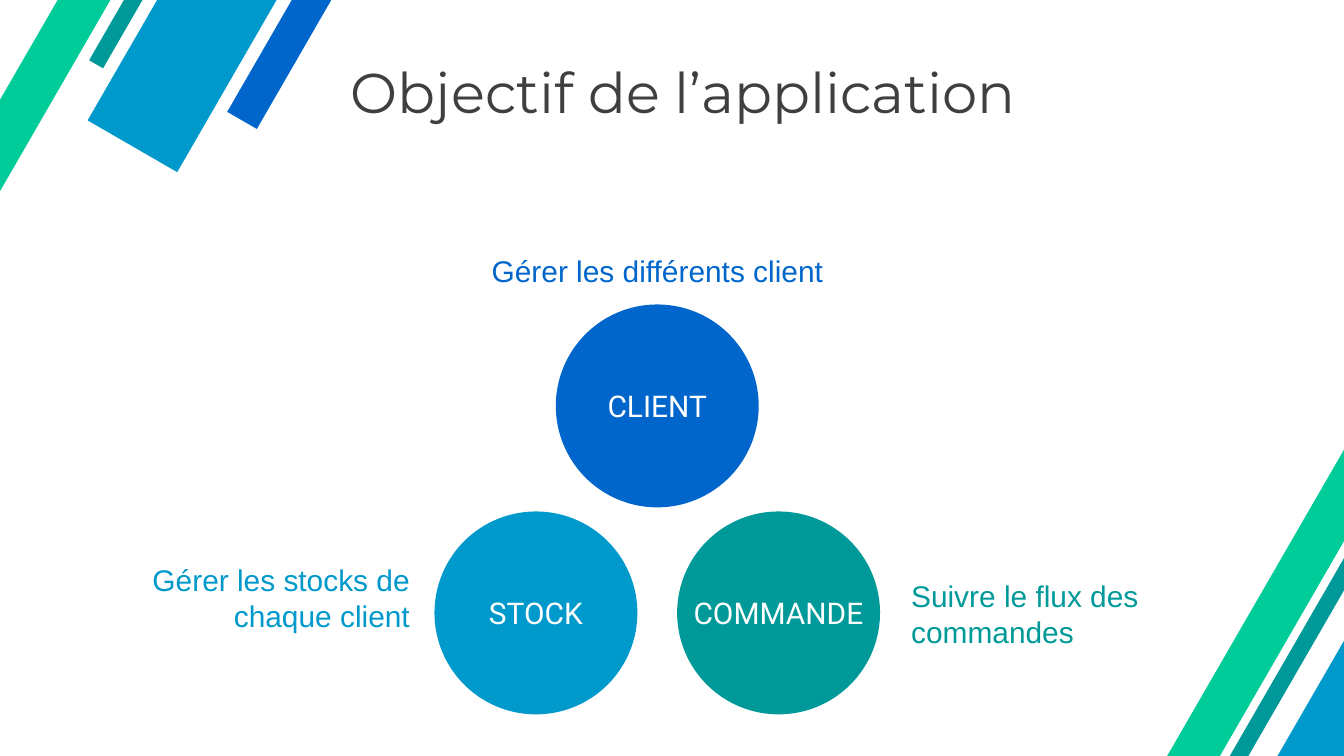
from pptx import Presentation
from pptx.dml.color import RGBColor
from pptx.enum.shapes import MSO_SHAPE
from pptx.enum.text import MSO_ANCHOR, PP_ALIGN
from pptx.util import Pt

# Content
TITLE = "Objectif de l’application"
# name, colour, column and row in the triangle
GOALS = [
    ("CLIENT", "blue", 0, 0),
    ("STOCK", "sky", -1, 1),
    ("COMMANDE", "teal", 1, 1),
]
# text, colour, alignment, box (left, top, width, height)
NOTES = [
    ("Gérer les différents client", "blue", PP_ALIGN.CENTER, (370, 267, 669, 46)),
    ("Gérer les stocks de chaque client", "sky", PP_ALIGN.RIGHT, (87.8, 597.6, 358.6, 85)),
    ("Suivre le flux des commandes", "teal", PP_ALIGN.LEFT, (969.1, 614.2, 351.4, 85)),
]
# colour, left, top of each slanted bar before it is turned
BARS = [
    ("blue", -102.2, -515.5),
    ("sky", -219.6, -524.9),
    ("teal", -258.5, -565.9),
    ("green", -419.8, -393.8),
    ("sky", 985, 277.9),
    ("teal", 928.8, 239.8),
    ("green", 771.1, 412.6),
]

# Theme
THEME = {
    "blue": "0066CC", "sky": "0099CC", "teal": "009999", "green": "00CC99",
    "ink": "3F3F3F", "white": "FFFFFF",
    "head": ("Montserrat", 60), "label": ("Roboto", 32), "note": ("Arial", 32),
}

# Layout
WIDE, HIGH = 1440, 810
THICK = {"blue": 36.7, "sky": 110.9, "teal": 17.3, "green": 49}
LONG, TURN = 1446, 300
SIZE = 217.4               # circle diameter
MID, TOP = 704.2, 434.9    # centre of the top circle
STEP, DROP = 130, 221.8    # from the top circle to the lower two
TITLE_BOX = (363, 58.3, 1077, 77.8)


def color(name):
    return RGBColor.from_string(THEME[name])


def write(shape, text, style, ink, align, anchor):
    frame = shape.text_frame
    frame.text = text
    frame.vertical_anchor = anchor
    para = frame.paragraphs[0]
    para.alignment = align
    font = para.runs[0].font
    face, size = THEME[style]
    font.name, font.size = face, Pt(size)
    font.color.rgb = color(ink)


def draw(slide, kind, box, fill):
    shape = slide.shapes.add_shape(kind, *map(Pt, box))
    shape.shadow.inherit = False
    shape.fill.solid()
    shape.fill.fore_color.rgb = color(fill)
    shape.line.fill.background()
    return shape


def main():
    deck = Presentation()
    deck.slide_width, deck.slide_height = Pt(WIDE), Pt(HIGH)
    slide = deck.slides.add_slide(deck.slide_layouts[5])

    # Slanted corner bars
    for fill, left, top in BARS:
        bar = draw(slide, MSO_SHAPE.RECTANGLE, (left, top, LONG, THICK[fill]), fill)
        bar.rotation = TURN

    # Triangle of circles
    for name, fill, col, row in GOALS:
        left = MID + col * STEP - SIZE / 2
        top = TOP + row * DROP - SIZE / 2
        disc = draw(slide, MSO_SHAPE.OVAL, (left, top, SIZE, SIZE), fill)
        write(disc, name, "label", "white", PP_ALIGN.CENTER, MSO_ANCHOR.MIDDLE)
        disc.text_frame.word_wrap = False

    # Notes beside the circles
    for text, ink, align, box in NOTES:
        note = slide.shapes.add_textbox(*map(Pt, box))
        note.text_frame.word_wrap = True
        write(note, text, "note", ink, align, MSO_ANCHOR.BOTTOM)

    # Title
    title = slide.shapes.title
    title.left, title.top, title.width, title.height = map(Pt, TITLE_BOX)
    write(title, TITLE, "head", "ink", PP_ALIGN.LEFT, MSO_ANCHOR.MIDDLE)
    frame = title.text_frame
    frame.margin_left = frame.margin_right = Pt(13)
    frame.margin_top = frame.margin_bottom = Pt(6.5)

    deck.save("out.pptx")


if __name__ == "__main__":
    main()
